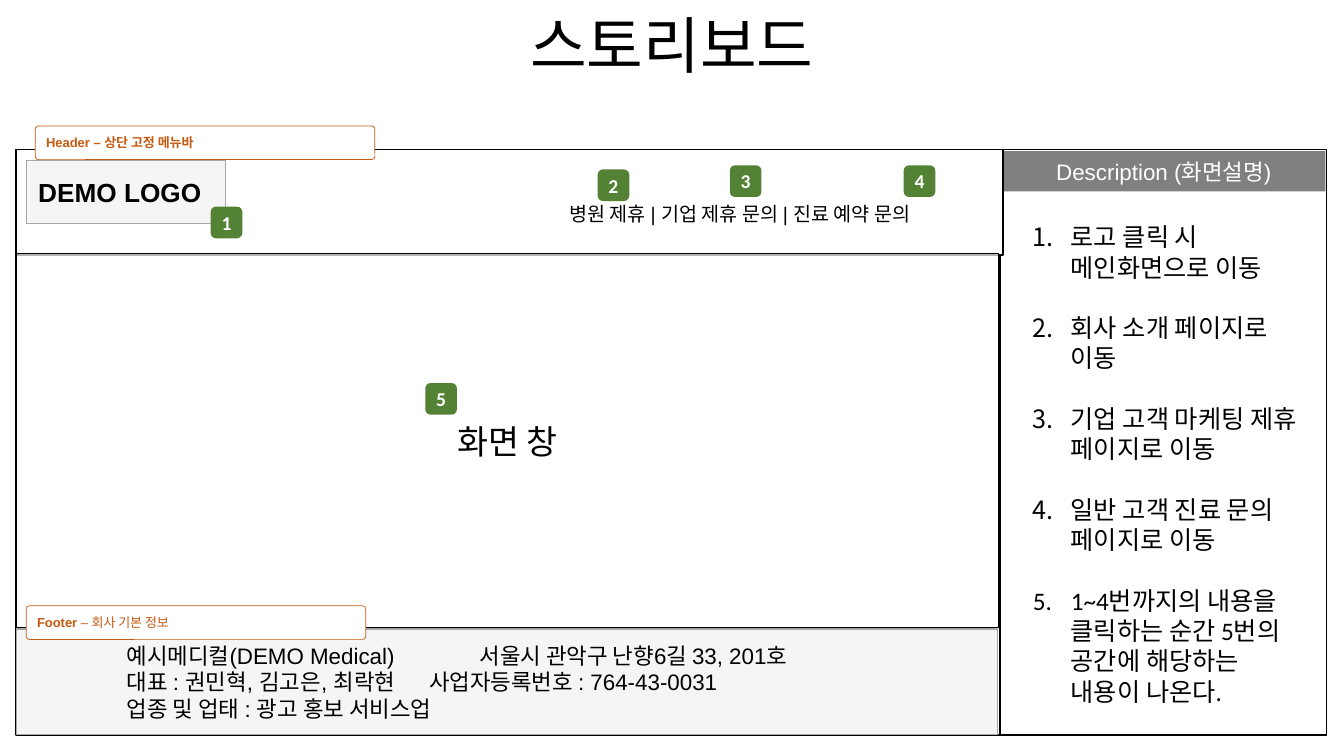
from pptx import Presentation
from pptx import util as u
from pptx.dml.color import RGBColor
from pptx.enum import shapes, text
from pptx.oxml.ns import qn
from lxml import etree

COLORS = {"black": "000000", "white": "FFFFFF", "bar": "808080", "pale": "F2F2F2",
          "edge": "A6A6A6", "badge": "548235", "label": "C55A11"}
RECT = shapes.MSO_SHAPE.RECTANGLE
ROUND = shapes.MSO_SHAPE.ROUNDED_RECTANGLE
LEFT, CENTER = text.PP_ALIGN.LEFT, text.PP_ALIGN.CENTER
TOP, MIDDLE = text.MSO_ANCHOR.TOP, text.MSO_ANCHOR.MIDDLE


def rgb(name):
    """Return the named colour."""
    return RGBColor.from_string(COLORS[name])


def place(box, x, y, w, h):
    """Turn a position relative to a box into slide lengths."""
    return [u.Pt(v) for v in (box[0] + x, box[1] + y, w, h)]


def write(sp, paras, size=14, font="Arial", color="black", bold=False, align=CENTER,
          anchor=MIDDLE, inset=(7.2, 3.6), indent=0, hanging=0, after=0, spacing=None,
          numbered=False):
    """Fill a shape with paragraphs; a paragraph is a string or (text, bold) runs."""
    tf = sp.text_frame
    tf.word_wrap, tf.vertical_anchor = True, anchor
    tf.margin_left = tf.margin_right = u.Pt(inset[0])
    tf.margin_top = tf.margin_bottom = u.Pt(inset[1])
    for i, para in enumerate(paras):
        p = tf.add_paragraph() if i else tf.paragraphs[0]
        p.alignment = align
        if spacing:
            p.line_spacing = spacing
        if after:
            p.space_after = u.Pt(after)
        pPr = p._p.get_or_add_pPr()
        if indent:
            pPr.set("marL", str(u.Pt(indent)))
            pPr.set("indent", str(u.Pt(-hanging)))
        if numbered:
            etree.SubElement(pPr, qn("a:buFont"), typeface="+mj-lt")
            etree.SubElement(pPr, qn("a:buAutoNum"), type="arabicPeriod")
        for words, heavy in [(para, bold)] if isinstance(para, str) else para:
            r = p.add_run()
            r.text = words
            r.font.size, r.font.name, r.font.bold = u.Pt(size), font, heavy
            r.font.color.rgb = rgb(color)


def add_box(s, pos, fill="white", line="black", width=1, kind=RECT, alpha=None, adj=None):
    """Add a flat shape, optionally outlined or see-through."""
    sp = s.shapes.add_shape(kind, *pos)
    sp.shadow.inherit = False
    sp.fill.solid()
    sp.fill.fore_color.rgb = rgb(fill)
    if alpha:
        clr = sp.fill._xPr.find(qn("a:solidFill"))[0]
        etree.SubElement(clr, qn("a:alpha"), val=str(alpha * 1000))
    if line:
        sp.line.color.rgb = rgb(line)
        sp.line.width = u.Pt(width)
    else:
        sp.line.fill.background()
    if adj:
        sp.adjustments[0] = adj
    return sp


def add_text(s, pos, paras, **fmt):
    """Add a text box."""
    write(s.shapes.add_textbox(*pos), paras, **fmt)


def add_badge(s, box, x, y, number):
    """Add a numbered green marker."""
    sp = add_box(s, place(box, x, y, 22.6, 22.6), "badge", None, kind=ROUND)
    write(sp, [str(number)], font="Calibri", color="white", bold=True, inset=(0, 3.6))


def add_label(s, box, x, y, runs):
    """Add an orange region label."""
    sp = add_box(s, place(box, x, y, 242.6, 24), "white", "label", 0.5, ROUND, adj=0.098)
    write(sp, [runs], size=9.3, color="label", align=LEFT)


def add_title(s, box):
    """Add the slide title."""
    add_text(s, place(box, 0, 0, *box[2:]), ["스토리보드"], size=44, font="Calibri",
             spacing=0.9)


def add_header(s, box):
    """Add the header bar with logo slot, menu and markers."""
    add_box(s, place(box, 0, 0, *box[2:]))
    add_text(s, place(box, 388.1, 33.8, 296.6, 24.5),
             ["병원 제휴 | 기업 제휴 문의 | 진료 예약 문의"], align=LEFT, anchor=TOP)
    add_box(s, place(box, 7.2, 7.9, 142.6, 45.4), "pale", "edge", 0.75, alpha=70)
    add_text(s, place(box, 8.7, 15.8, 140, 30.2), ["DEMO LOGO"], size=18.7, bold=True,
             align=LEFT, anchor=TOP)
    for i, (x, y) in enumerate([(139, 41), (415.4, 14.4), (509.8, 11.5), (634, 11.5)], 1):
        add_badge(s, box, x, y, i)
    add_label(s, box, 13.7, -16.6, [("Header – 상단 고정 메뉴바", True)])


def add_footer(s, box):
    """Add the footer with the company details in two tabbed columns."""
    sp = add_box(s, place(box, 0, 0, *box[2:]), "pale", "edge", 0.75, alpha=70)
    write(sp, ["예시메디컬(DEMO Medical)\t\t서울시 관악구 난향6길 33, 201호",
               "대표 : 권민혁, 김고은, 최락현 \t사업자등록번호 : 764-43-0031",
               "업종 및 업태 : 광고 홍보 서비스업"], size=16, align=LEFT, indent=72)


def add_screen(s, box):
    """Add the main screen area with its marker and the footer label."""
    sp = add_box(s, place(box, 0, 0, *box[2:]), width=0.75, alpha=70)
    write(sp, ["화면 창"], size=24)
    add_badge(s, box, 292.3, 92.2, 5)
    add_label(s, box, 7.2, 251.3, [("Footer ", True), ("– 회사 기본 정보", False)])


def add_description(s, box):
    """Add the side panel with its heading and numbered notes."""
    add_box(s, place(box, 0, 0, *box[2:]))
    sp = add_box(s, place(box, 1.5, 1.4, 231.1, 28.8), "bar", None)
    write(sp, ["Description (화면설명)"], size=16, color="white")
    add_text(s, place(box, 16.6, 48.2, 205.9, 356.4),
             ["로고 클릭 시 메인화면으로 이동", "회사 소개 페이지로 이동",
              "기업 고객 마케팅 제휴 페이지로 이동", "일반 고객 진료 문의 페이지로 이동",
              "1~4번까지의 내용을 클릭하는 순간 5번의 공간에 해당하는 내용이 나온다."],
             size=18, font="Calibri", align=LEFT, anchor=TOP, indent=27, hanging=27,
             after=21.7, numbered=True)


prs = Presentation()
prs.slide_width, prs.slide_height = u.Pt(960), u.Pt(540)
s = prs.slides.add_slide(prs.slide_layouts[6])
add_box(s, place((11.5, 182.2), 0, 0, 704.9, 342.7))
add_description(s, (714.2, 106.6, 233.3, 418.3))
add_title(s, (0, 1.4, 960, 66.2))
add_header(s, (11.5, 106.6, 704.9, 75.6))
add_footer(s, (11.5, 449.3, 701.3, 75.6))
add_screen(s, (11.5, 181.4, 702, 267.1))
prs.save("out.pptx")
